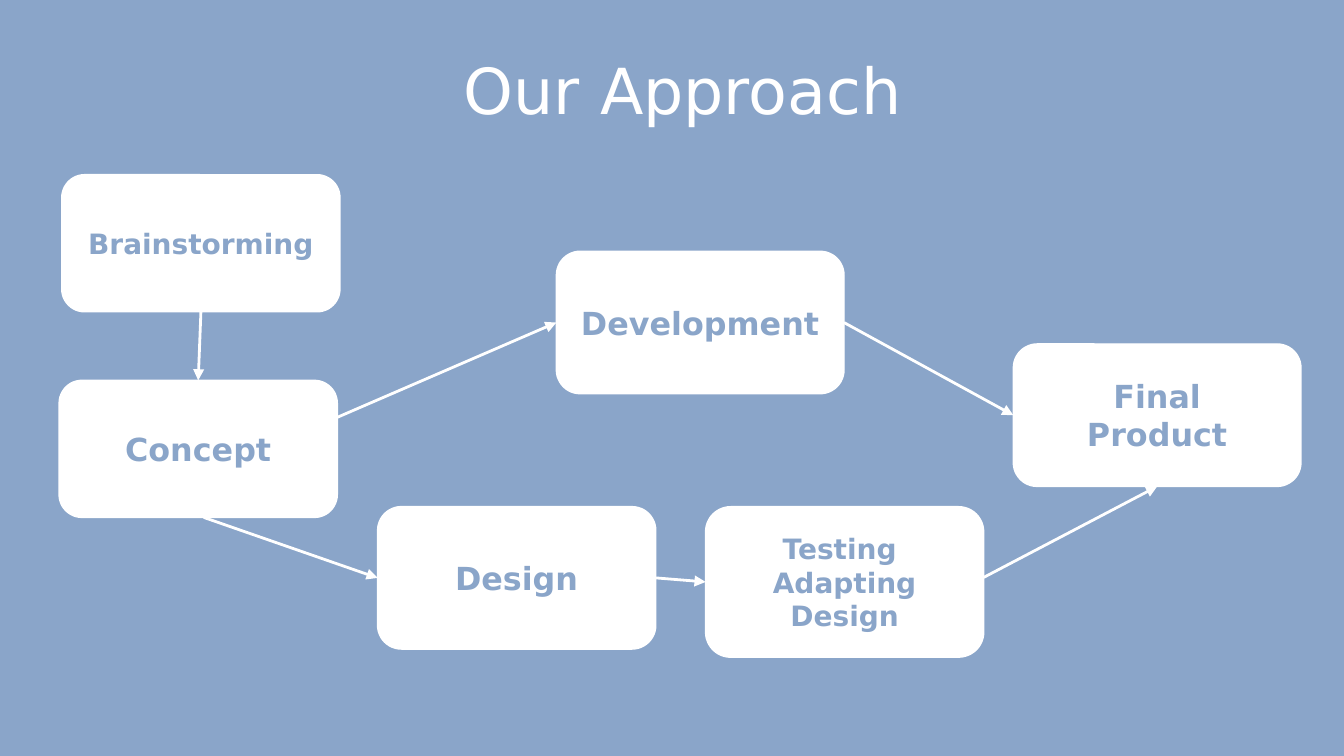
from dataclasses import dataclass
from lxml import etree
from pptx import Presentation, util as u
from pptx.dml.color import RGBColor
from pptx.enum import shapes, text
from pptx.oxml.ns import qn


@dataclass
class Theme:
    blue = RGBColor.from_string("8AA5C9")
    white = RGBColor.from_string("FFFFFF")
    font = "DejaVu Sans"
    title = 34
    large = 17
    small = 15


theme = Theme()


def write(frame, words, size, color, bold=False):
    frame.word_wrap = True
    frame.vertical_anchor = text.MSO_ANCHOR.MIDDLE
    frame.margin_left = frame.margin_right = u.Inches(0.1)
    frame.margin_top = frame.margin_bottom = u.Inches(0.1)
    frame.text = words
    for para in frame.paragraphs:
        para.alignment = text.PP_ALIGN.CENTER
        para.font.name = theme.font
        para.font.size = u.Pt(size)
        para.font.bold = bold
        para.font.color.rgb = color


deck = Presentation()
deck.slide_width = u.Inches(10)
deck.slide_height = deck.slide_width * 9 // 16
page = deck.slides.add_slide(deck.slide_layouts[6])
page.background.fill.solid()
page.background.fill.fore_color.rgb = theme.blue

title = page.shapes.add_textbox(*map(u.Inches, (1.98, 0.27, 6.2, 0.79)))
write(title.text_frame, "Our Approach", theme.title, theme.white)

steps = {
    "concept": ("Concept", theme.large, 0.44, 2.83, 2.07, 1.02),
    "design": ("Design", theme.large, 2.81, 3.77, 2.07, 1.06),
    "development": ("Development", theme.large, 4.14, 1.87, 2.14, 1.06),
    "testing": ("Testing \vAdapting\vDesign", theme.small, 5.25, 3.77, 2.07, 1.12),
    "brainstorming": ("Brainstorming", theme.small, 0.46, 1.3, 2.07, 1.02),
    "product": ("Final\nProduct", theme.large, 7.54, 2.56, 2.14, 1.06),
}
boxes = {}
for name, (words, size, *place) in steps.items():
    box = page.shapes.add_shape(shapes.MSO_SHAPE.ROUNDED_RECTANGLE, *map(u.Inches, place))
    box.shadow.inherit = False
    box.adjustments[0] = 0.167
    box.fill.solid()
    box.fill.fore_color.rgb = theme.white
    box.line.color.rgb = theme.white
    box.line.width = u.Pt(0.75)
    write(box.text_frame, words, size, theme.blue, bold=True)
    boxes[name] = box

top, left, bottom, right = (0.5, 0), (0, 0.5), (0.5, 1), (1, 0.5)
arrows = [
    ("brainstorming", bottom, "concept", top),
    ("concept", (0.52, 1), "design", left),
    ("concept", (1, 0.27), "development", left),
    ("design", right, "testing", left),
    ("testing", (1, 0.47), "product", bottom),
    ("development", right, "product", left),
]
for start, start_share, end, end_share in arrows:
    points = []
    for name, (across, down) in ((start, start_share), (end, end_share)):
        box = boxes[name]
        points += [int(box.left + across * box.width), int(box.top + down * box.height)]
    arrow = page.shapes.add_connector(shapes.MSO_CONNECTOR.STRAIGHT, *points)
    arrow.line.color.rgb = theme.white
    arrow.line.width = u.Pt(1.5)
    etree.SubElement(arrow.line._get_or_add_ln(), qn("a:tailEnd"), type="triangle")
    etree.SubElement(arrow._element.spPr, qn("a:effectLst"))

deck.save("out.pptx")
